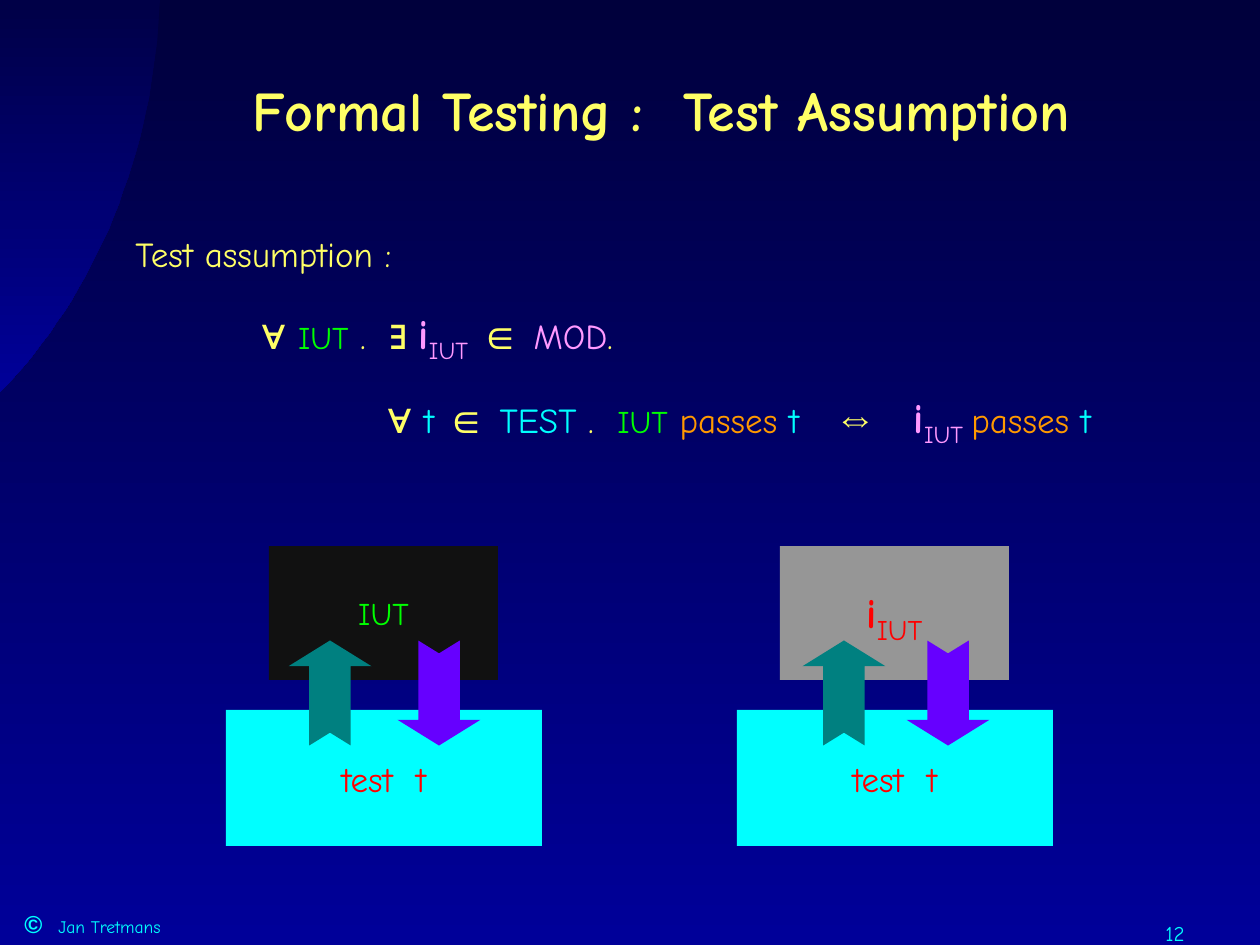
import pptx
import pptx.util
import pptx.dml.color
import pptx.enum.shapes
import pptx.enum.text
from lxml import etree

Kind = pptx.enum.shapes.MSO_SHAPE
Align = pptx.enum.text.PP_ALIGN
Anchor = pptx.enum.text.MSO_ANCHOR
Pt = pptx.util.Pt

SCALE = 914400 / 126
FONT, SYMBOL = "Comic Neue", "Arial"
HEX = {
    "night": "00003C", "navy": "000047", "blue": "000099",
    "yellow": "FFFF66", "cyan": "00FFFF", "green": "00FF00",
    "pink": "FF99FF", "orange": "FF9900", "red": "FF0000",
    "black": "111111", "grey": "969696", "teal": "008080", "violet": "6600FF",
}


def emu(px):
    return pptx.util.Emu(round(px * SCALE))


def rgb(name):
    return pptx.dml.color.RGBColor.from_string(HEX[name])


class Deck:
    def __init__(self):
        self.show = pptx.Presentation()
        self.show.slide_width, self.show.slide_height = emu(1260), emu(945)
        self.slide = self.show.slides.add_slide(self.show.slide_layouts[6])
        self.shapes = self.slide.shapes

    def fade(self, fill, top, base):
        """Fill from one colour at the top to another at the base."""
        fill.gradient()
        fill.gradient_angle = 270
        for stop, name in zip(fill.gradient_stops, (top, base)):
            stop.color.rgb = rgb(name)

    def arc(self, points):
        """Draw the slide's corner, bounded by a cubic curve."""
        (ax, ay), (bx, by), (cx, cy), (dx, dy) = points
        curve = []
        for step in range(33):
            t = step / 32
            u = 1 - t
            a, b, c, d = u ** 3, 3 * u * u * t, 3 * u * t * t, t ** 3
            curve.append((a * ax + b * bx + c * cx + d * dx,
                          a * ay + b * by + c * cy + d * dy))
        form = self.shapes.build_freeform(0, 0, scale=SCALE)
        form.add_line_segments(curve, close=True)
        shape = form.convert_to_shape()
        shape.shadow.inherit = False
        shape.line.fill.background()
        self.fade(shape.fill, "navy", "blue")

    def fill_in(self, para, runs):
        """Add runs of (text, size, colour, flags): b bold, s symbol, _ subscript."""
        for text, size, color, flags in runs:
            run = para.add_run()
            run.text = text
            run.font.size = Pt(size)
            run.font.name = SYMBOL if "s" in flags else FONT
            run.font.bold = "b" in flags
            run.font.color.rgb = rgb(color)
            if "_" in flags:
                run.font._element.set("baseline", "-25000")

    def text(self, x, y, w, h, lines, align=Align.LEFT, anchor=Anchor.TOP):
        frame = self.shapes.add_textbox(emu(x), emu(y), emu(w), emu(h)).text_frame
        frame.word_wrap = True
        frame.vertical_anchor = anchor
        for num, runs in enumerate(lines):
            para = frame.add_paragraph() if num else frame.paragraphs[0]
            para.alignment = align
            self.fill_in(para, runs)
        return frame

    def tab(self, para, x):
        props = para._p.get_or_add_pPr()
        tabs = etree.SubElement(props, pptx.oxml.ns.qn("a:tabLst"))
        etree.SubElement(tabs, pptx.oxml.ns.qn("a:tab"), pos=str(emu(x)), algn="l")

    def shape(self, kind, x, y, w, h, color):
        shape = self.shapes.add_shape(kind, emu(x), emu(y), emu(w), emu(h))
        shape.shadow.inherit = False
        shape.fill.solid()
        shape.fill.fore_color.rgb = rgb(color)
        shape.line.fill.background()
        return shape

    def block(self, x, y, w, h, color, runs):
        frame = self.shape(Kind.RECTANGLE, x, y, w, h, color).text_frame
        frame.word_wrap = False
        frame.vertical_anchor = Anchor.MIDDLE
        frame.paragraphs[0].alignment = Align.CENTER
        self.fill_in(frame.paragraphs[0], runs)

    def arrow(self, mid, color, turn):
        """Draw a notched arrow, centred on mid, turned up or down."""
        long, wide = 105, 83
        shape = self.shape(Kind.NOTCHED_RIGHT_ARROW, mid - long / 2,
                           693 - wide / 2, long, wide, color)
        shape.adjustments[0], shape.adjustments[1] = 0.5, 0.31
        shape.rotation = turn


def main():
    deck = Deck()
    deck.fade(deck.slide.background.fill, "night", "blue")
    deck.arc([(0, 392), (96, 295), (154, 151), (160, 0)])

    foot = deck.text(12, 903, 617, 42, [[
        ("©", 14, "cyan", "bs"), ("\tJan Tretmans", 10, "cyan", "")]])
    deck.tab(foot.paragraphs[0], 34)
    deck.text(1081, 914, 116, 31, [[("12", 12, "cyan", "")]], Align.RIGHT)
    deck.text(126, 30, 1071, 158,
              [[("Formal Testing :  Test Assumption", 32, "yellow", "b")]],
              Align.CENTER, Anchor.MIDDLE)

    gap = (" ", 20, "yellow", "")
    every = ("∀", 24, "yellow", "bs")
    within = ("∈", 24, "yellow", "bs")
    real = ("IUT", 18, "green", "")
    model = ("i", 24, "pink", "b")
    passes = ("passes ", 20, "orange", "")
    dot = (" .  ", 20, "yellow", "")
    body = deck.text(123, 234, 1077, 205, [
        [("Test assumption :", 20, "yellow", "")],
        [every, gap, real, dot, ("∃", 24, "yellow", "bs"), gap, model,
         ("IUT", 24, "pink", "_"), gap, within, gap,
         ("MOD", 20, "pink", ""), (".", 20, "yellow", "")],
        [every, gap, ("t ", 20, "cyan", ""), within, gap,
         ("TEST", 20, "cyan", ""), dot, real, gap, passes,
         ("t   ", 20, "cyan", ""), ("⇔", 24, "yellow", "bs"),
         ("   ", 20, "yellow", "b"), model, ("IUT ", 24, "pink", "_"),
         passes, ("t", 20, "cyan", "")],
    ])
    for level, para in enumerate(body.paragraphs):
        para.line_spacing = 0.8
        if level:
            para.space_before = Pt(22)
            para._p.get_or_add_pPr().set("marL", str(emu(126 * level)))

    sides = [
        (384, "black", [real], 330, 439),
        (895, "grey", [("i", 24, "red", "b"), ("IUT", 28, "red", "_")], 844, 948),
    ]
    for mid, color, label, up, down in sides:
        deck.block(mid - 115, 546, 229, 134, color, label)
        deck.block(mid - 158, 710, 316, 136, "cyan", [("test  t", 20, "red", "")])
        deck.arrow(up, "teal", 270)
        deck.arrow(down, "violet", 90)

    deck.show.save("out.pptx")


if __name__ == "__main__":
    main()
